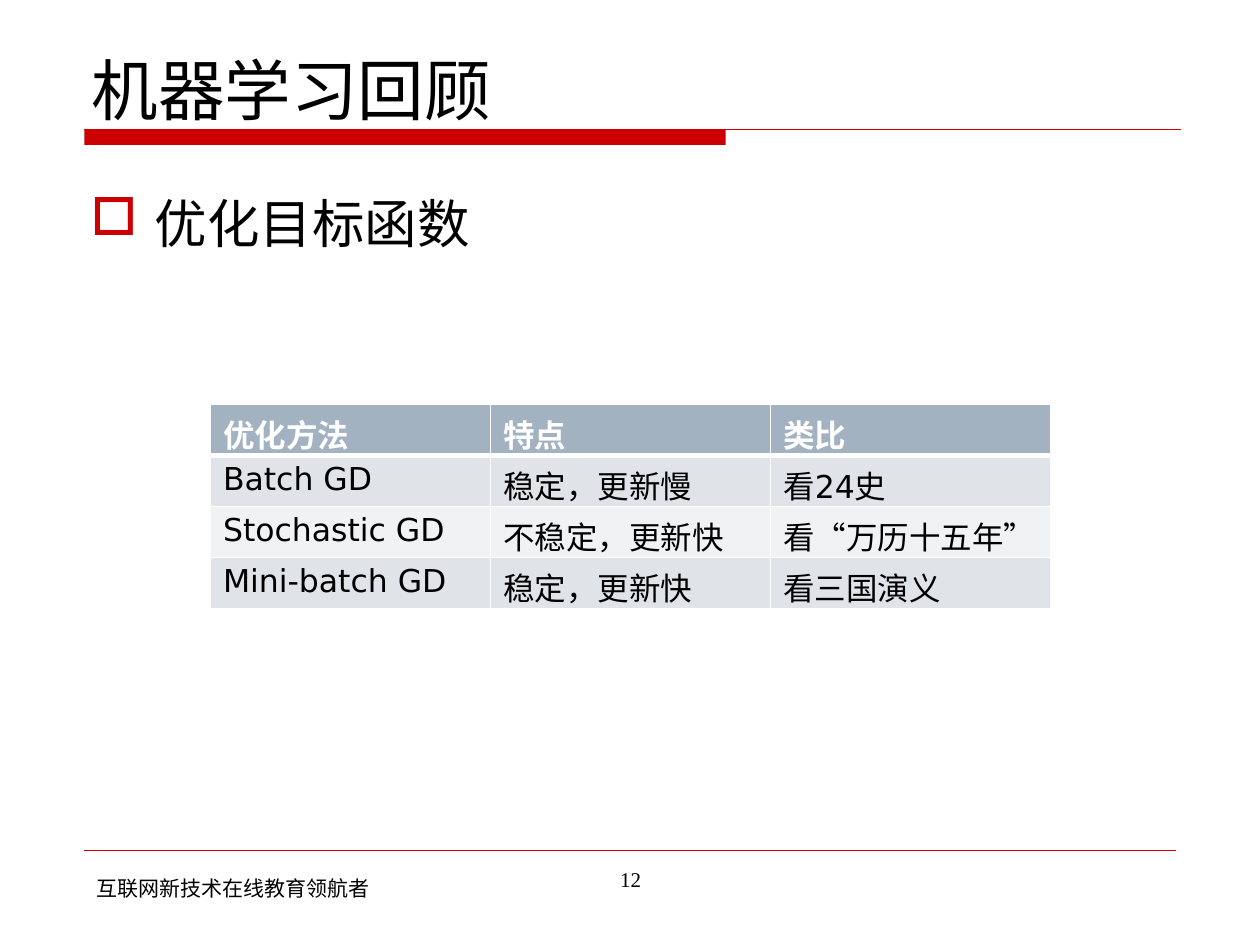
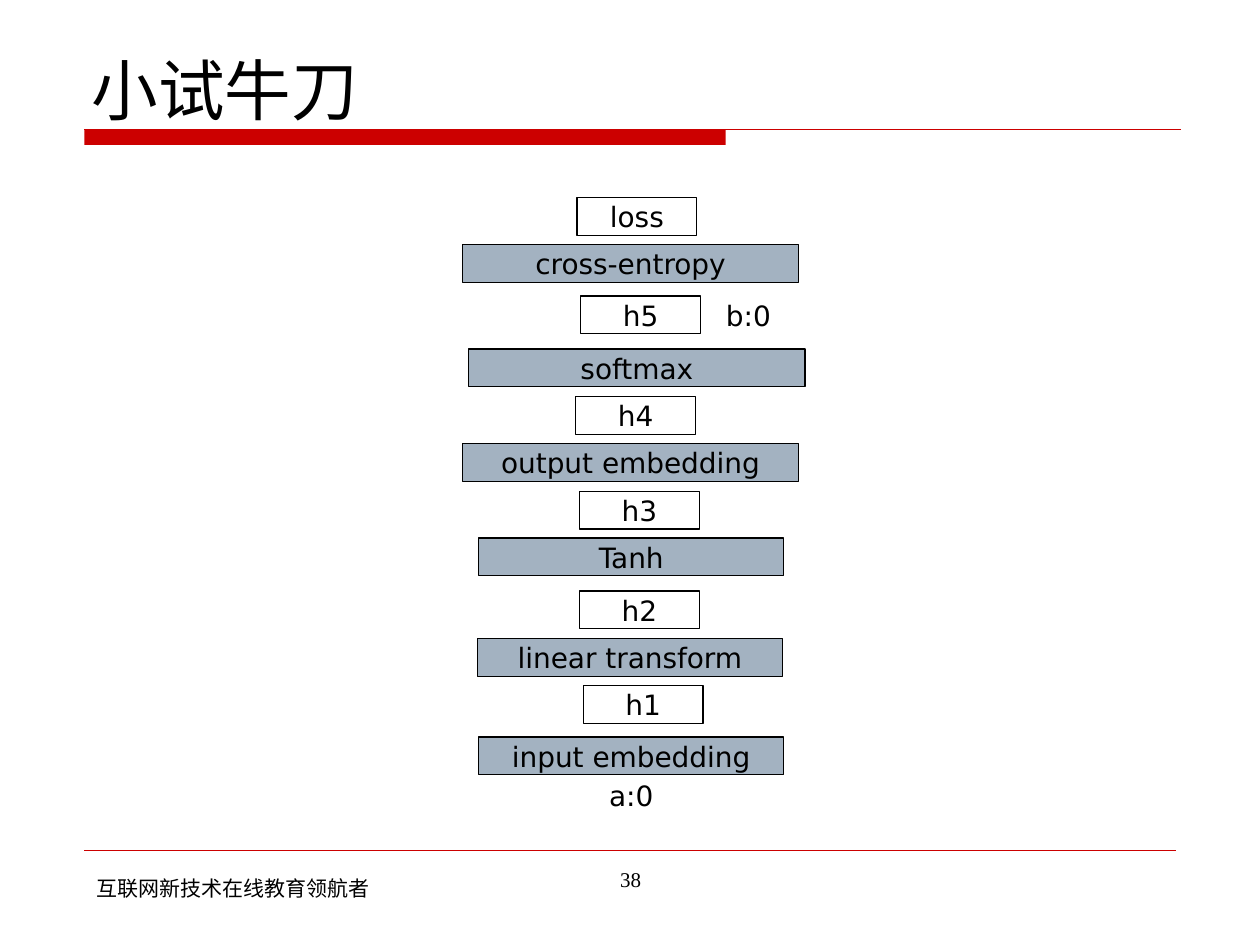
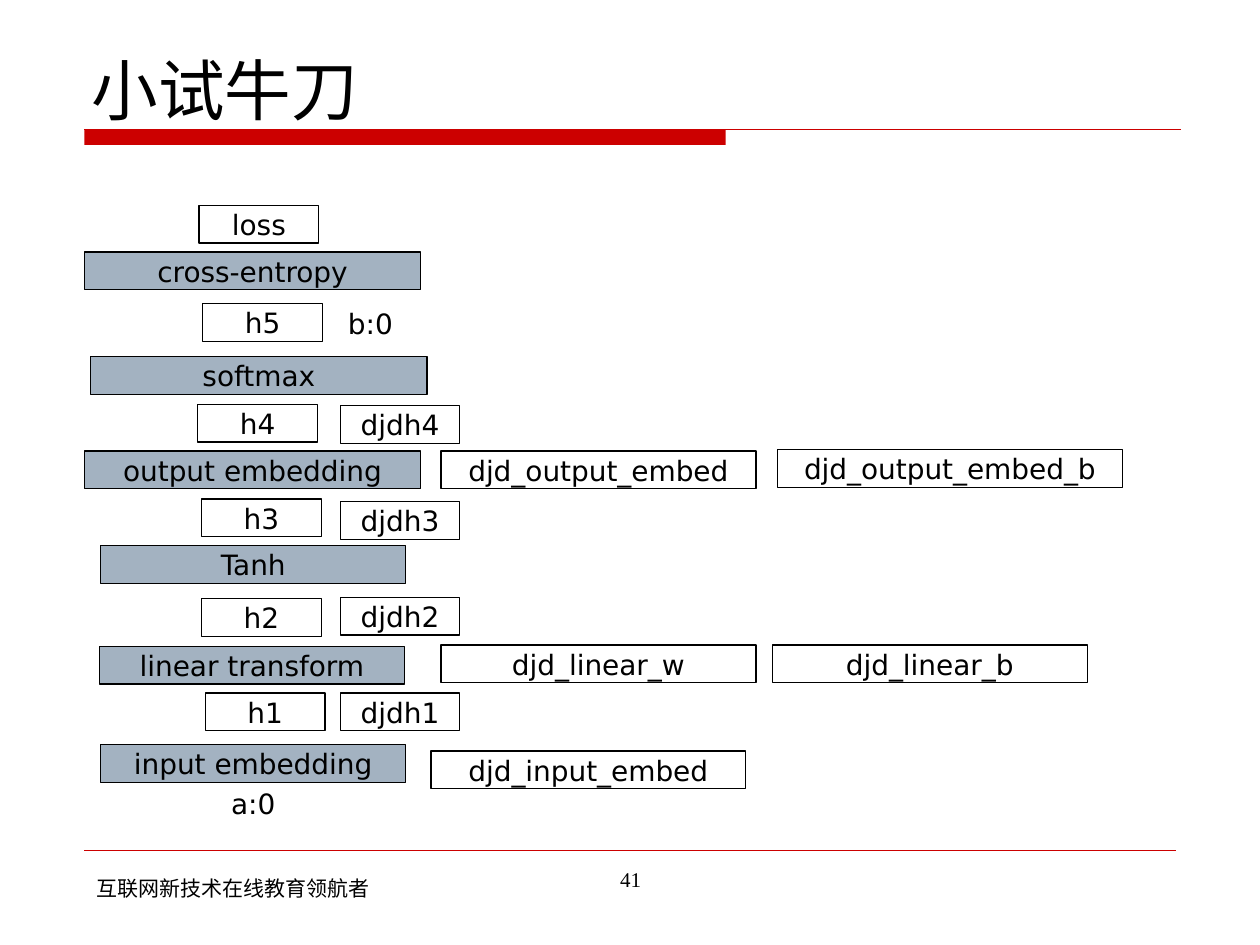
import pptx
import pptx.dml.color
import pptx.enum.shapes
import pptx.enum.text
import pptx.oxml.ns
import pptx.util
from lxml import etree

Inches = pptx.util.Inches
Pt = pptx.util.Pt
RGBColor = pptx.dml.color.RGBColor
ANCHOR = pptx.enum.text.MSO_ANCHOR
ALIGN = pptx.enum.text.PP_ALIGN
qn = pptx.oxml.ns.qn

RED = RGBColor(0xCC, 0x00, 0x00)
BLACK = RGBColor(0x00, 0x00, 0x00)
WHITE = RGBColor(0xFF, 0xFF, 0xFF)
STEEL = RGBColor(0xA3, 0xB2, 0xC1)
ROW_DARK = RGBColor(0xE0, 0xE4, 0xE9)
ROW_LIGHT = RGBColor(0xF0, 0xF2, 0xF4)

SANS = "DejaVu Sans"
SERIF = "Times New Roman"
CJK = "Noto Sans CJK SC"

FOOTER = "互联网新技术在线教育领航者"

METHODS = [
    ("优化方法", "特点", "类比"),
    ("Batch GD", "稳定，更新慢", "看24史"),
    ("Stochastic GD", "不稳定，更新快", "看“万历十五年”"),
    ("Mini-batch GD", "稳定，更新快", "看三国演义"),
]

BOX_H = 0.3
STATE_W = 0.95

# Text, left, top, width
LAYERS = [
    ("input embedding", 3.8, 5.85, 2.42),
    ("linear transform", 3.79, 5.07, 2.42),
    ("Tanh", 3.8, 4.27, 2.42),
    ("output embedding", 3.67, 3.52, 2.67),
    ("softmax", 3.72, 2.77, 2.67),
    ("cross-entropy", 3.67, 1.94, 2.67),
]
# Text, left, top
STATES = [
    ("h1", 4.63, 5.44),
    ("h2", 4.6, 4.69),
    ("h3", 4.6, 3.9),
    ("h4", 4.57, 3.15),
    ("h5", 4.61, 2.35),
    ("loss", 4.58, 1.57),
]
INDEX_LABELS = [("a:0", 4.72, 6.13), ("b:0", 5.65, 2.32)]
# Text, left, top, width
GRADIENTS = [
    ("djd_output_embed", 3.5, 3.58, 2.5),
    ("djd_output_embed_b", 6.17, 3.57, 2.74),
    ("djd_linear_w", 3.5, 5.12, 2.5),
    ("djd_linear_b", 6.13, 5.12, 2.5),
    ("djd_input_embed", 3.42, 5.96, 2.5),
]


def write(tf, text, size, font, color=BLACK, bold=False, align=None):
    tf.text = text
    p = tf.paragraphs[0]
    p.alignment = align
    r = p.runs[0]
    r.font.size = Pt(size)
    r.font.name = font
    r.font.bold = bold
    r.font.color.rgb = color
    etree.SubElement(r.font._element, qn("a:ea"), typeface=CJK)
    return p


def add_text(s, text, left, top, width, height, size, font,
             align=None, anchor=ANCHOR.TOP, wrap=True):
    tb = s.shapes.add_textbox(Inches(left), Inches(top), Inches(width), Inches(height))
    tf = tb.text_frame
    tf.word_wrap = wrap
    tf.vertical_anchor = anchor
    if not wrap:
        tf.auto_size = pptx.enum.text.MSO_AUTO_SIZE.SHAPE_TO_FIT_TEXT
    return write(tf, text, size, font, align=align)


def add_rect(s, left, top, width, height, fill=None, line=None):
    sp = s.shapes.add_shape(pptx.enum.shapes.MSO_SHAPE.RECTANGLE, Inches(left),
                            Inches(top), Inches(width), Inches(height))
    sp.shadow.inherit = False
    if fill is None:
        sp.fill.background()
    else:
        sp.fill.solid()
        sp.fill.fore_color.rgb = fill
    if line is None:
        sp.line.fill.background()
    else:
        sp.line.color.rgb = line
        sp.line.width = Pt(0.75)
    return sp


def add_box(s, text, left, top, width, fill=None):
    sp = add_rect(s, left, top, width, BOX_H, fill, BLACK)
    sp.text_frame.vertical_anchor = ANCHOR.MIDDLE
    write(sp.text_frame, text, 16, SANS, align=ALIGN.CENTER)


def add_rule(s, left, right, top, weight):
    line = s.shapes.add_connector(pptx.enum.shapes.MSO_CONNECTOR.STRAIGHT, Inches(left),
                                  Inches(top), Inches(right), Inches(top))
    line.line.color.rgb = RED
    line.line.width = Pt(weight)
    etree.SubElement(line._element.spPr, qn("a:effectLst"))


def add_slide(prs, title, number):
    """Add a slide with the shared title, red band and footer."""
    s = prs.slides.add_slide(prs.slide_layouts[6])
    add_rect(s, 0.67, 1.03, 5.09, 0.12, RED)
    add_rule(s, 0.67, 9.37, 1.03, 0.75)
    add_rule(s, 0.67, 9.33, 6.75, 0.25)
    add_text(s, FOOTER, 0.67, 6.9, 2.39, 0.3, 12, CJK, wrap=False)
    add_text(s, title, 0.63, 0.33, 8.75, 0.74, 38, SERIF, anchor=ANCHOR.BOTTOM)
    add_text(s, str(number), 3.42, 6.83, 3.17, 0.52, 12, SERIF, ALIGN.CENTER)
    return s


def add_bullet(s, text):
    p = add_text(s, text, 0.62, 1.47, 8.75, 5.12, 30, SERIF)
    pPr = p._p.get_or_add_pPr()
    pPr.set("marL", str(Inches(0.51)))
    pPr.set("indent", str(-Inches(0.51)))
    color = etree.SubElement(pPr, qn("a:buClr"))
    etree.SubElement(color, qn("a:srgbClr"), val=str(RED))
    etree.SubElement(pPr, qn("a:buChar"), char="□")


def set_borders(cell, top, bottom):
    """Draw white cell borders; top and bottom are weights in points."""
    tcPr = cell._tc.get_or_add_tcPr()
    for side, weight in (("L", 1), ("R", 1), ("T", top), ("B", bottom)):
        ln = etree.SubElement(tcPr, qn(f"a:ln{side}"), w=str(Pt(weight)))
        fill = etree.SubElement(ln, qn("a:solidFill"))
        etree.SubElement(fill, qn("a:srgbClr"), val=str(WHITE))


def add_methods_table(s):
    table = s.shapes.add_table(len(METHODS), len(METHODS[0]), Inches(1.67), Inches(3.21),
                               Inches(6.67), Inches(1.62)).table
    fills = [STEEL, ROW_DARK, ROW_LIGHT, ROW_DARK]
    for i, (row, fill) in enumerate(zip(METHODS, fills)):
        header = i == 0
        for j, text in enumerate(row):
            cell = table.cell(i, j)
            set_borders(cell, top=3 if i == 1 else 1, bottom=3 if header else 1)
            cell.fill.solid()
            cell.fill.fore_color.rgb = fill
            write(cell.text_frame, text, 18, SANS, WHITE if header else BLACK, header)


def add_network(s, dx=0, dy=0):
    """Stack the layers and their states, shifted by dx and dy inches."""
    for text, left, top, width in LAYERS:
        add_box(s, text, left + dx, top + dy, width, STEEL)
    for text, left, top in STATES:
        add_box(s, text, left + dx, top + dy, STATE_W)
    for text, left, top in INDEX_LABELS:
        add_text(s, text, left + dx, top + dy, 0.58, 0.37, 16, SANS,
                 ALIGN.CENTER, ANCHOR.MIDDLE, wrap=False)


def add_gradients(s):
    for i in range(4):
        add_box(s, f"djdh{4 - i}", 2.7, 3.22 + 0.76 * i, STATE_W)
    for text, left, top, width in GRADIENTS:
        add_box(s, text, left, top, width)


def main():
    prs = pptx.Presentation()
    prs.slide_width = Inches(10)
    prs.slide_height = Inches(7.5)

    s = add_slide(prs, "机器学习回顾", 12)
    add_bullet(s, "优化目标函数")
    add_methods_table(s)

    s = add_slide(prs, "小试牛刀", 38)
    add_network(s)

    s = add_slide(prs, "小试牛刀", 41)
    add_network(s, dx=-3, dy=0.06)
    add_gradients(s)

    prs.save("out.pptx")


if __name__ == "__main__":
    main()
